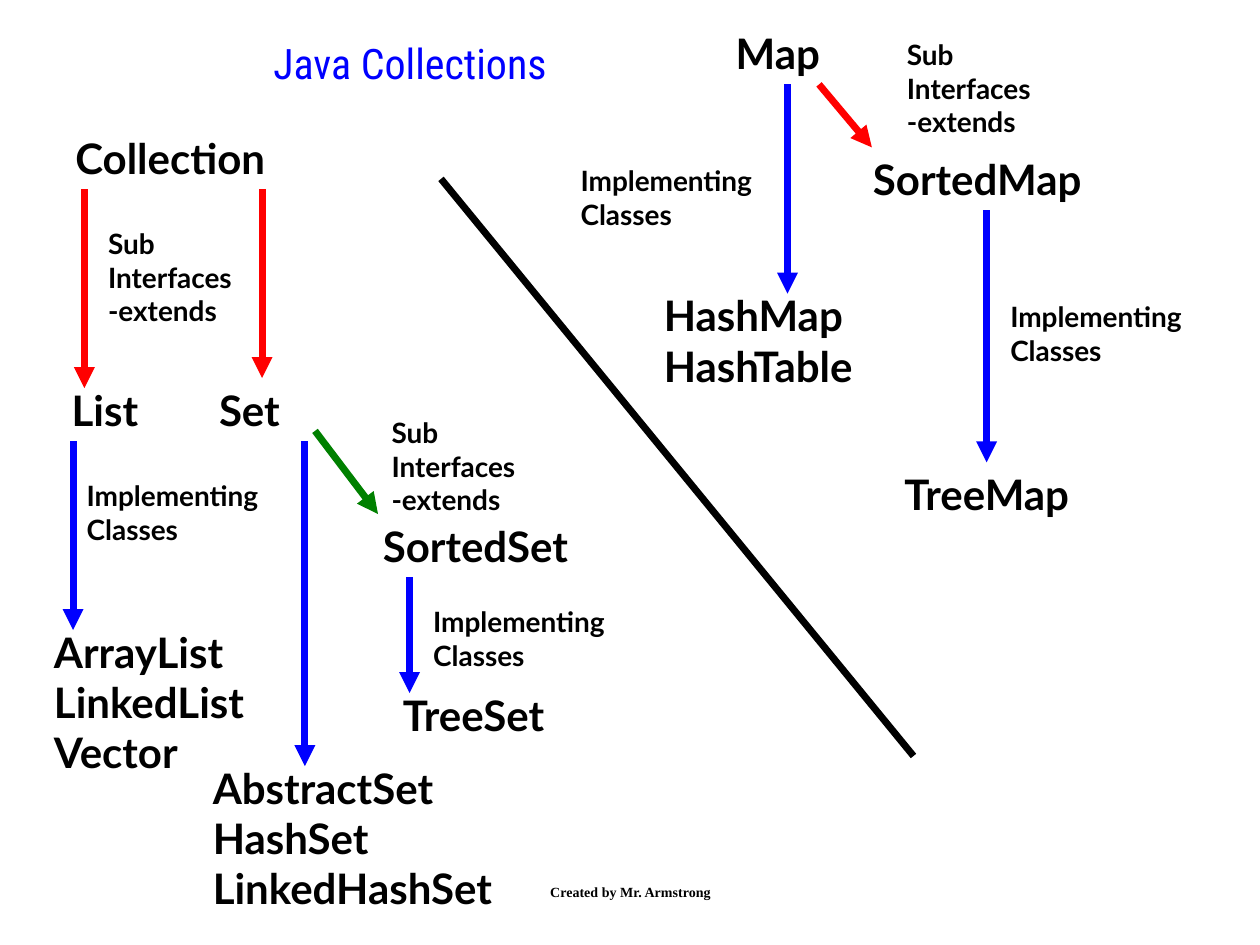
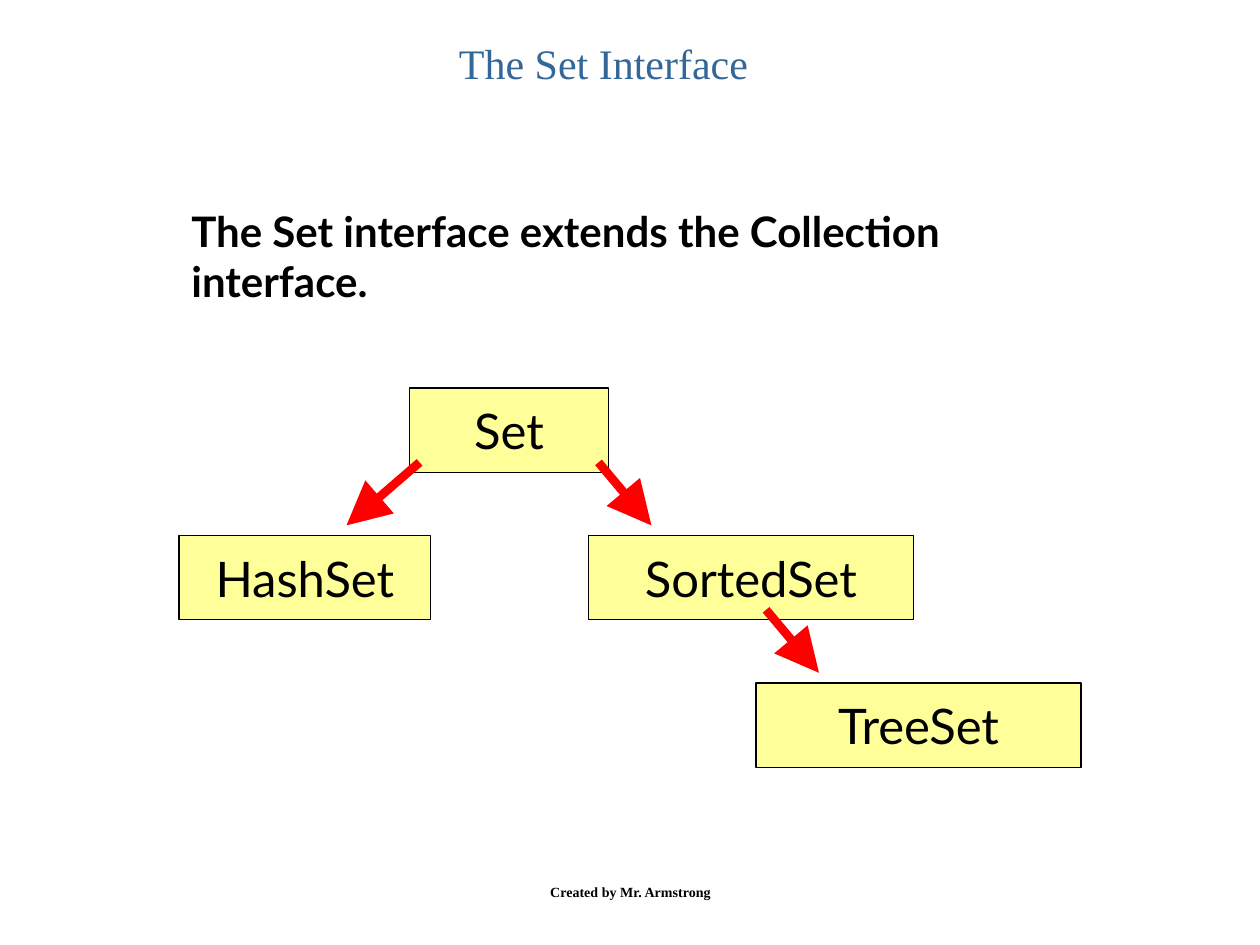
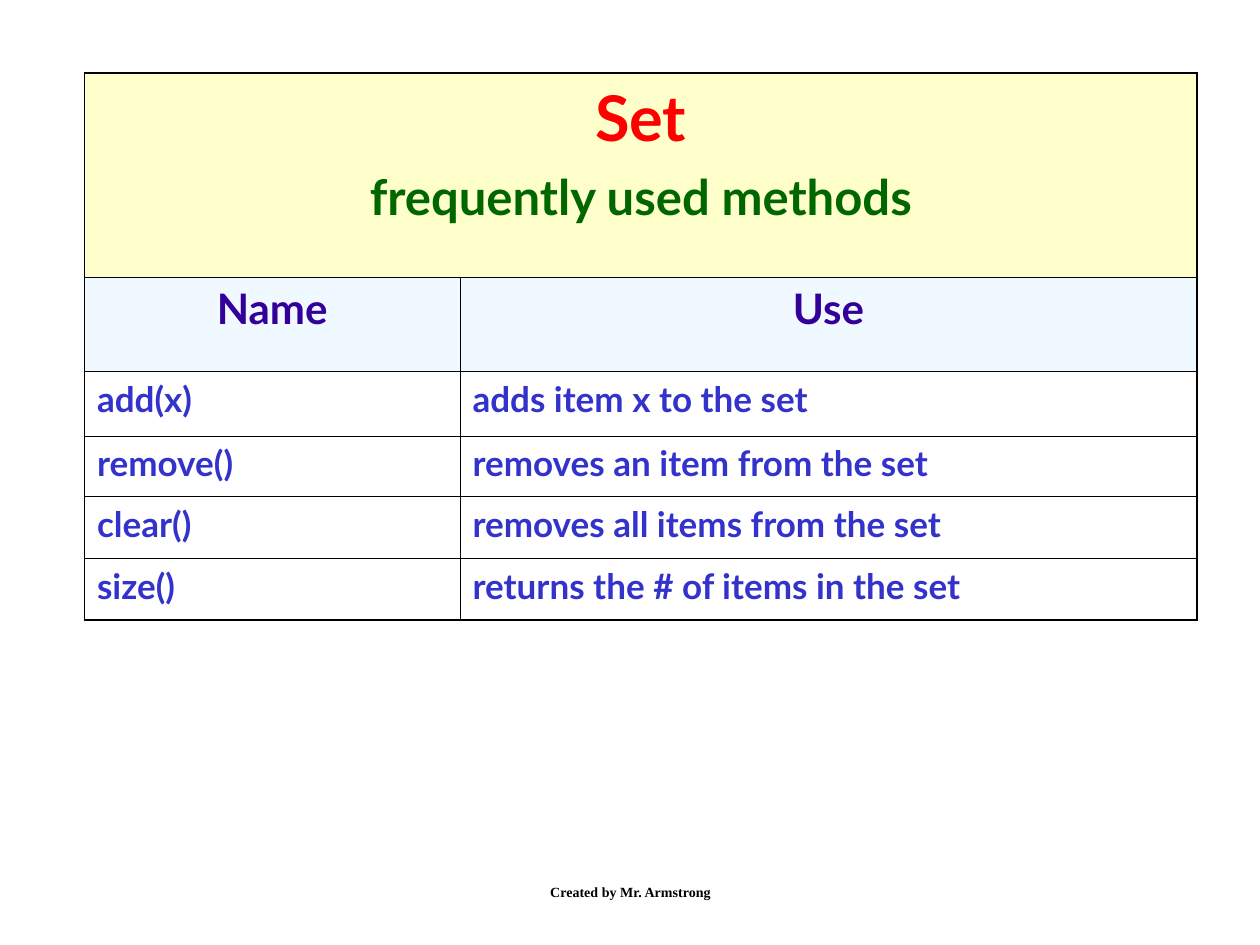
from lxml import etree
from pptx import Presentation
from pptx.dml.color import RGBColor
from pptx.enum.shapes import MSO_CONNECTOR, MSO_SHAPE
from pptx.enum.text import MSO_ANCHOR, PP_ALIGN
from pptx.oxml.ns import qn
from pptx.util import Inches, Pt

LEFT, CENTER = PP_ALIGN.LEFT, PP_ALIGN.CENTER
TOP, MIDDLE = MSO_ANCHOR.TOP, MSO_ANCHOR.MIDDLE
LINE, RECT = MSO_CONNECTOR.STRAIGHT, MSO_SHAPE.RECTANGLE

COLORS = {
    "black": "000000", "red": "FF0000", "blue": "0000FF", "green": "008000",
    "steel": "336699", "yellow": "FFFF99", "cream": "FFFFCC", "ice": "F0F9FF",
    "pine": "006600", "violet": "330099", "indigo": "3333CC",
}
SANS, SERIF, SLIM = "Lato", "Times New Roman", "Roboto Condensed"
EXTENDS = ("Sub\nInterfaces\n-extends", 1.33)
CLASSES = ("Implementing\nClasses", 1.84)
THIN, THICK = 0.45, 1.08


def rgb(name):
    """Return the palette colour of that name."""
    return RGBColor.from_string(COLORS[name])


def write(frame, text, size=24, color="black", font=SANS, bold=True,
          align=LEFT, before=0, more=False):
    """Write one paragraph per line of text, after the present ones if more."""
    for i, line in enumerate(text.split("\n")):
        para = frame.add_paragraph() if i or more else frame.paragraphs[0]
        para.alignment = align
        para.space_before = Pt(before)
        run = para.add_run()
        run.text = line
        run.font.size = Pt(size)
        run.font.name = font
        run.font.bold = bold
        run.font.color.rgb = rgb(color)


def label(slide, box, text, wrap=False, anchor=TOP, **look):
    """Add a text box at left, top, width, height."""
    frame = slide.shapes.add_textbox(*map(Inches, box)).text_frame
    frame.word_wrap = wrap
    frame.vertical_anchor = anchor
    write(frame, text, **look)


def title(slide, left, width, text, color, font):
    """Add a slide title centred in its width."""
    label(slide, (left, 0.25, width, 0.58), text, wrap=True,
          color=color, font=font, bold=False, align=CENTER)


def block(slide, left, top, text, width, size=24):
    """Add a bold label whose height follows from its lines."""
    height = 0.1 + (text.count("\n") + 1) * size / 60
    label(slide, (left, top, width, height), text, size=size)


def line(slide, start, end, color, width=4, head="med"):
    """Draw a straight line, with an arrowhead of that size at its end."""
    link = slide.shapes.add_connector(LINE, *map(Inches, start + end))
    link.line.color.rgb = rgb(color)
    link.line.width = Pt(width)
    if head:
        etree.SubElement(link.line._get_or_add_ln(), qn("a:tailEnd"),
                         type="triangle", w=head, len=head)
    etree.SubElement(link._element.spPr, qn("a:effectLst"))


def footer(slide):
    """Add the shared footer."""
    label(slide, (3.42, 6.83, 3.17, 0.5), "Created by Mr. Armstrong", wrap=True,
          anchor=MIDDLE, size=8, font=SERIF, align=CENTER)


def tree(slide, left, top, names, notes, arrows):
    """Draw a type tree with its names, notes and arrows offset from a corner."""
    for x, y, x2, y2, color in arrows:
        line(slide, (left + x, top + y), (left + x2, top + y2), color)
    for x, y, text, width in names:
        block(slide, left + x, top + y, text, width)
    for x, y, note in notes:
        block(slide, left + x, top + y, *note, size=16)


def overview(slide):
    """Show the two type trees on either side of a slanted divider."""
    title(slide, 1.67, 3.17, "Java Collections", "blue", SLIM)
    tree(slide, 0.33, 1,
         [(0.17, 0, "Collection", 1.86), (0.14, 2, "List", 0.9),
          (1.31, 2, "Set", 0.9), (2.61, 3.08, "SortedSet", 1.82),
          (2.77, 4.42, "TreeSet", 1.46),
          (0, 3.92, "ArrayList\nLinkedList\nVector", 1.92),
          (1.26, 5, "AbstractSet\nHashSet\nLinkedHashSet", 2.69)],
         [(0.43, 0.75, EXTENDS), (2.68, 2.25, EXTENDS),
          (0.26, 2.75, CLASSES), (3.01, 3.75, CLASSES)],
         [(0.34, 0.5, 0.34, 2.08, "red"), (1.75, 0.5, 1.75, 2, "red"),
          (2.17, 2.42, 2.67, 3.08, "green"), (0.25, 2.5, 0.25, 4, "blue"),
          (2.09, 2.5, 2.09, 5.08, "blue"), (2.92, 3.58, 2.92, 4.5, "blue")])
    tree(slide, 4.5, 0.17,
         [(1.24, 0, "Map", 0.92), (2.33, 1, "SortedMap", 2.02),
          (2.58, 3.5, "TreeMap", 1.66), (0.67, 2.08, "HashMap\nHashTable", 1.94)],
         [(2.6, 0.08, EXTENDS), (3.42, 2.16, CLASSES), (0.01, 1.08, CLASSES)],
         [(2, 0.5, 2.42, 1, "red"), (1.75, 0.5, 1.75, 2.16, "blue"),
          (3.33, 1.5, 3.33, 3.5, "blue")])
    line(slide, (3.5, 1.42), (7.25, 6), "black", head=None)


def chart(slide, left, top):
    """Draw the boxes of the Set family and the arrows between them."""
    step, deep = 1.17, 0.67
    boxes = [("Set", 1.83, 0, 1.58), ("HashSet", 0, 1, 2),
             ("SortedSet", 3.25, 1, 2.58), ("TreeSet", 4.58, 2, 2.58)]
    for name, x, row, width in boxes:
        box = (left + x, top + row * step, width, deep)
        shape = slide.shapes.add_shape(RECT, *map(Inches, box))
        shape.shadow.inherit = False
        shape.fill.solid()
        shape.fill.fore_color.rgb = rgb("yellow")
        shape.line.color.rgb = rgb("black")
        shape.line.width = Pt(0.75)
        shape.text_frame.word_wrap = False
        shape.text_frame.vertical_anchor = MIDDLE
        write(shape.text_frame, name, size=28, bold=False, align=CENTER)
    for x, x2, row in [(1.91, 1.33, 0), (3.33, 3.75, 0), (4.66, 5.08, 1)]:
        y = top + row * step + deep - 0.08
        line(slide, (left + x, y), (left + x2, y + 0.5), "red", width=5, head="lg")


def family(slide):
    """Show what the Set interface extends and what follows from it."""
    title(slide, 1.5, 6.58, "The Set Interface", "steel", SERIF)
    label(slide, (1.42, 1.58, 6.92, 0.9),
          "The Set interface extends the Collection\ninterface.", wrap=True)
    chart(slide, 1.42, 3.08)


def edge(cell, **sides):
    """Give the cell a black border of the given points on each side."""
    for side, width in sides.items():
        ln = etree.SubElement(cell._tc.get_or_add_tcPr(), qn("a:ln" + side),
                              w=str(Pt(width)))
        fill = etree.SubElement(ln, qn("a:solidFill"))
        etree.SubElement(fill, qn("a:srgbClr"), val=COLORS["black"])


def methods(slide, left, top):
    """Show the table of frequently used methods."""
    rows = [("Name", "Use"), ("add(x)", "adds item x to the set"),
            ("remove()", "removes an item from the set"),
            ("clear()", "removes all items from the set"),
            ("size()", "returns the # of items in the set")]
    wide, high = (2.98, 5.85), (1.62, 0.75, 0.51, 0.48, 0.49, 0.49)
    box = (left, top, sum(wide), sum(high))
    table = slide.shapes.add_table(len(high), len(wide), *map(Inches, box)).table
    table.first_row = table.horz_banding = False
    for col, width in zip(table.columns, wide):
        col.width = Inches(width)
    for row, height in zip(table.rows, high):
        row.height = Inches(height)
    for r in range(len(high)):
        for c in range(len(wide)):
            cell = table.cell(r, c)
            edge(cell, L=THIN if c else THICK, R=THICK if c else THIN,
                 T=THIN if r else THICK, B=THICK if r == len(rows) else THIN)
            if r > 1:
                cell.fill.background()
            else:
                cell.fill.solid()
                cell.fill.fore_color.rgb = rgb("ice" if r else "cream")
            if r == 1:
                write(cell.text_frame, rows[0][c], color="violet", align=CENTER, before=6)
            elif r:
                write(cell.text_frame, rows[r - 1][c], size=20, color="indigo", before=5)
    head = table.cell(0, 0)
    head.merge(table.cell(0, 1))
    for side in head._tc.tcPr.findall(qn("a:lnR")):
        side.set("w", str(Pt(THICK)))
    write(head.text_frame, "Set", size=36, color="red", align=CENTER, before=9)
    write(head.text_frame, "frequently used methods", size=28, color="pine",
          align=CENTER, before=7, more=True)


def main():
    """Build the three slides and save them."""
    deck = Presentation()
    deck.slide_width, deck.slide_height = Inches(10), Inches(7.5)
    slides = [deck.slides.add_slide(deck.slide_layouts[6]) for _ in range(3)]
    overview(slides[0])
    family(slides[1])
    methods(slides[2], 0.67, 0.58)
    for slide in slides:
        footer(slide)
    deck.save("out.pptx")


if __name__ == "__main__":
    main()
